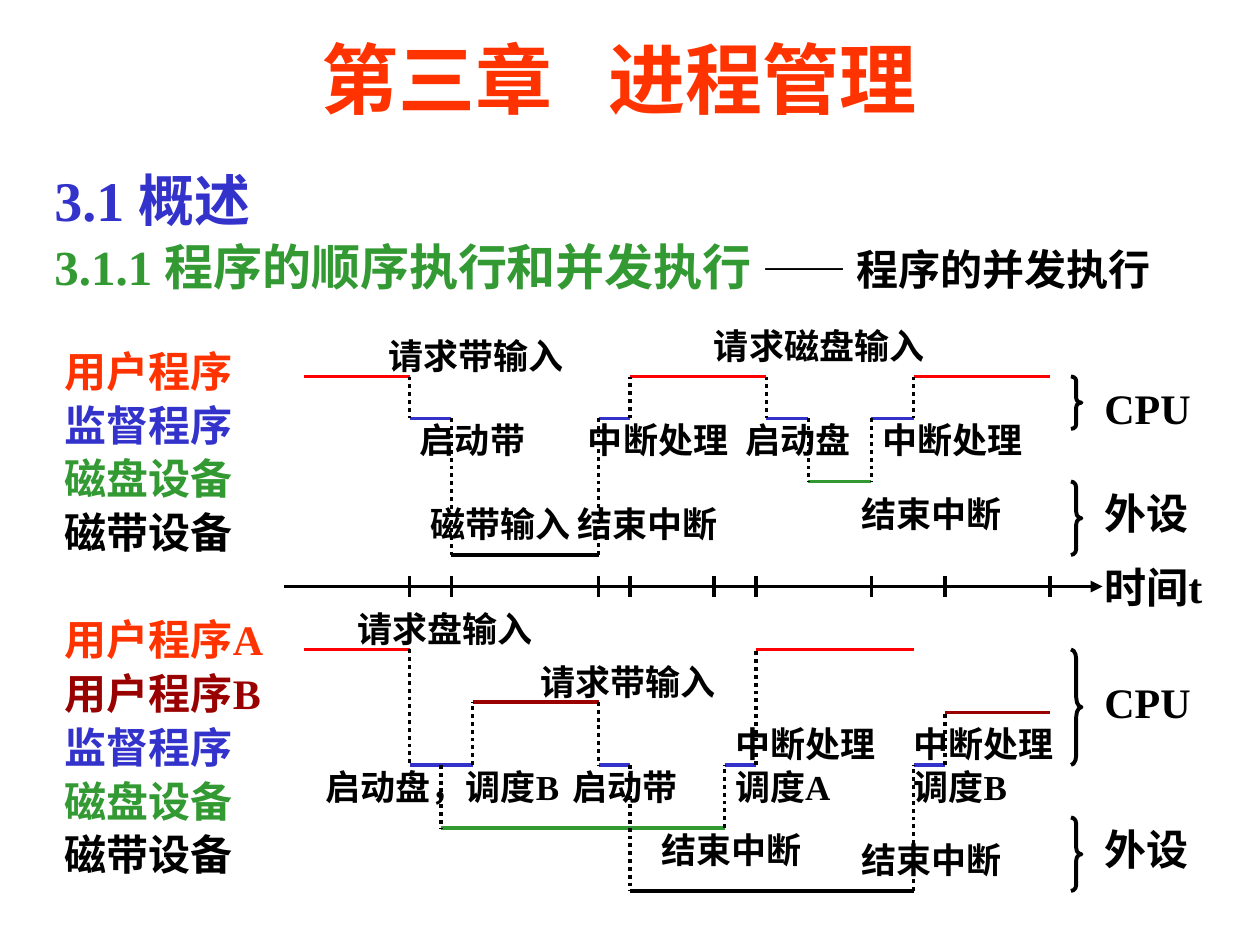
from dataclasses import dataclass
from lxml.etree import SubElement
from pptx import Presentation
from pptx.dml.color import RGBColor as RGB
from pptx.enum.dml import MSO_LINE as Dash
from pptx.enum.shapes import MSO_CONNECTOR as Conn, MSO_SHAPE as Shape
from pptx.enum.text import MSO_ANCHOR as Anchor, PP_ALIGN as Align
from pptx.oxml.ns import qn
from pptx.util import Cm, Pt


@dataclass(frozen=True)
class Theme:
    font: str = "Times New Roman"
    title: int = 44
    head: int = 32
    sub: int = 28
    body: int = 24
    note: int = 20
    black: RGB = RGB(0, 0, 0)
    red: RGB = RGB(255, 0, 0)
    warm: RGB = RGB(255, 51, 0)
    dark: RGB = RGB(153, 0, 0)
    blue: RGB = RGB(51, 51, 204)
    green: RGB = RGB(51, 153, 51)


theme = Theme()
UNIT = 2.54 / 12
TOP = 7.59

deck = Presentation()
deck.slide_width, deck.slide_height = Cm(25.4), Cm(19.05)
slide = deck.slides.add_slide(deck.slide_layouts[6])
shapes = slide.shapes


def write(x, y, w, h, rows, pad=True):
    box = shapes.add_textbox(Cm(UNIT * x), Cm(TOP + UNIT * y), Cm(UNIT * w), Cm(UNIT * h))
    frame = box.text_frame
    frame.word_wrap = True
    if not pad:
        frame.margin_left = frame.margin_right = Cm(0)
        frame.margin_top = frame.margin_bottom = Cm(0)
    for i, (text, size, color) in enumerate(rows):
        para = frame.paragraphs[0] if i == 0 else frame.add_paragraph()
        para.text = text
        para.font.name, para.font.bold = theme.font, True
        para.font.size = Pt(size)
        para.font.color.rgb = color
    return frame


def draw(x1, y1, x2, y2, color=theme.black, dash=None, arrow=False):
    link = shapes.add_connector(Conn.STRAIGHT, Cm(UNIT * x1), Cm(TOP + UNIT * y1),
                                Cm(UNIT * x2), Cm(TOP + UNIT * y2))
    link.line.width = Pt(2.25)
    link.line.color.rgb = color
    if dash:
        link.line.dash_style = dash
    props = link._element.spPr
    if arrow:
        SubElement(props.find(qn("a:ln")), qn("a:tailEnd"), type="triangle")
    SubElement(props, qn("a:effectLst"))


title = write(14, -35, 90, 13, [("第三章", theme.title, theme.warm)])
title.vertical_anchor = Anchor.MIDDLE
para = title.paragraphs[0]
para.alignment = Align.CENTER
gap = para.add_run()
gap.text = " "
gap._r.get_or_add_rPr().set("spc", "2200")
para.add_run().text = "进程管理"

heads = write(4, -20, 110, 13, [
    ("3.1 概述", theme.head, theme.blue),
    ("3.1.1 程序的顺序执行和并发执行 ", theme.sub, theme.green),
])
topic = heads.paragraphs[1].add_run()
topic.text = "—— 程序的并发执行"
topic.font.size = Pt(theme.body)
topic.font.color.rgb = theme.black

shared = [("监督程序", theme.blue), ("磁盘设备", theme.green), ("磁带设备", theme.black)]
users = [("用户程序A", theme.warm), ("用户程序B", theme.dark)]
names = [("用户程序", theme.warm)] + shared + users + shared
legend = write(5, -3, 22, 53, [(name, theme.body, color) for name, color in names])

for frame in (heads, legend):
    for i, para in enumerate(frame.paragraphs):
        para.line_spacing = 0.9
        if i:
            para.space_before = Pt(0.2 * para.font.size.pt)
        para._p.pPr.set("marL", str(Cm(0.95)))
        para._p.pPr.set("indent", str(Cm(-0.95)))
legend.paragraphs[4].space_before = Pt(35.4)

bars = [
    (theme.red, [(29, 39, 0), (60, 73, 0), (87, 100, 0), (29, 39, 26), (72, 87, 26)]),
    (theme.dark, [(45, 57, 31), (90, 100, 32)]),
    (theme.blue, [(39, 43, 4), (57, 60, 4), (73, 77, 4), (83, 87, 4),
                  (39, 45, 37), (57, 60, 37), (69, 72, 37), (87, 90, 37)]),
    (theme.green, [(77, 83, 10), (42, 69, 43)]),
    (theme.black, [(43, 57, 17), (60, 87, 49)]),
]
for color, spans in bars:
    for left, right, y in spans:
        draw(left, y, right, y, color)

jumps = [
    (39, 0, 4), (43, 4, 17), (57, 17, 4), (60, 4, 0), (73, 0, 4),
    (77, 4, 10), (83, 4, 10), (87, 0, 4),
    (39, 26, 37), (42, 37, 43), (45, 37, 31), (57, 31, 37), (60, 37, 49),
    (69, 43, 37), (72, 37, 26), (87, 49, 37), (90, 37, 32),
]
for x, start, end in jumps:
    draw(x, start, x, end, dash=Dash.ROUND_DOT)

draw(27, 20, 105, 20, arrow=True)
for x in (39, 43, 57, 60, 68, 72, 83, 90, 100):
    draw(x, 19, x, 21)
write(104, 17, 12, 6, [("时间t", theme.body, theme.black)])

groups = [(0, 5, 0, 13, "CPU"), (10, 7, 10, 13, "外设"),
          (26, 11, 28, 11, "CPU"), (42, 7, 42, 13, "外设")]
for y, high, base, wide, name in groups:
    brace = shapes.add_shape(Shape.RIGHT_BRACE, Cm(UNIT * 102), Cm(TOP + UNIT * y),
                             Cm(UNIT), Cm(UNIT * high))
    brace.adjustments[0] = high / 12
    brace.shadow.inherit = False
    brace.fill.background()
    brace.line.color.rgb = theme.black
    brace.line.width = Pt(2.25)
    write(104, base, wide, 6, [(name, theme.body, theme.black)])

notes = [
    (37, -4, 17, ["请求带输入"]), (40, 4, 11, ["启动带"]),
    (41, 12, 14, ["磁带输入"]), (55, 12, 14, ["结束中断"]),
    (56, 4, 14, ["中断处理"]), (68, -5, 21, ["请求磁盘输入"]),
    (71, 4, 11, ["启动盘"]), (82, 11, 14, ["结束中断"]),
    (84, 4, 14, ["中断处理"]),
    (34, 22, 21, ["请求盘输入"]), (31, 37, 23, ["启动盘，调度B"]),
    (51.5, 27, 17, ["请求带输入"]), (54.5, 37, 11, ["启动带"]),
    (63, 43, 14, ["结束中断"]), (70, 33, 14, ["中断处理", "调度A"]),
    (82, 44, 14, ["结束中断"]), (87, 33, 14, ["中断处理", "调度B"]),
]
for x, y, wide, rows in notes:
    write(x, y, wide, 4 * len(rows),
          [(row, theme.note, theme.black) for row in rows], pad=False)

deck.save("out.pptx")
